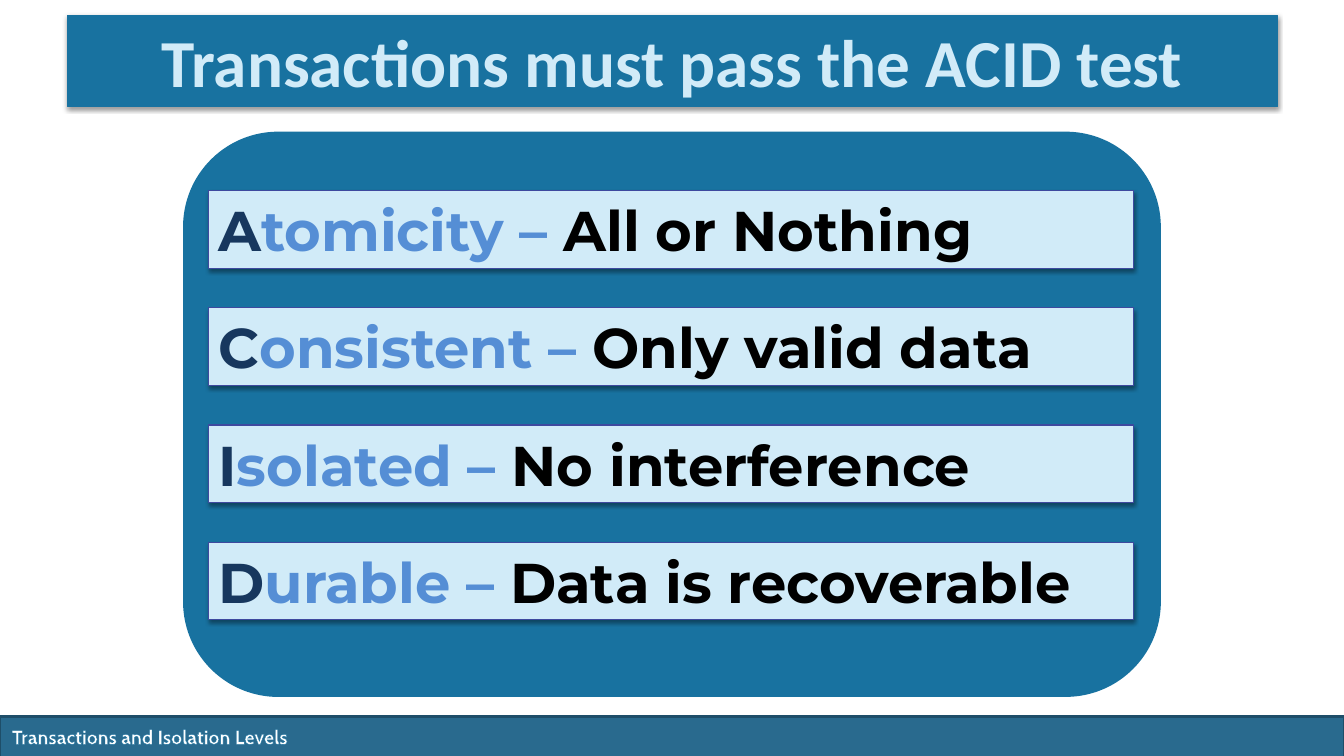
from lxml import etree
from pptx import Presentation
from pptx.dml.color import RGBColor
from pptx.enum.shapes import MSO_SHAPE
from pptx.enum.text import MSO_ANCHOR, MSO_AUTO_SIZE, PP_ALIGN
from pptx.oxml import parse_xml
from pptx.oxml.ns import nsdecls, qn
from pptx.util import Inches, Pt

RECTANGLE = MSO_SHAPE.RECTANGLE
ROUNDED = MSO_SHAPE.ROUNDED_RECTANGLE
MIDDLE = MSO_ANCHOR.MIDDLE
GROW = MSO_AUTO_SIZE.SHAPE_TO_FIT_TEXT
LEFT = PP_ALIGN.LEFT
CENTER = PP_ALIGN.CENTER

BLUE = "1872A0"
PALE = "D1EBF8"
ACID = [
    ("A", "tomicity – ", "All or Nothing"),
    ("C", "onsistent – ", "Only valid data"),
    ("I", "solated – ", "No interference"),
    ("D", "urable – ", "Data is recoverable"),
]


def rgb(value):
    return RGBColor.from_string(value)


def paint(shape, fill, line, width):
    shape.shadow.inherit = False
    shape.fill.solid()
    shape.fill.fore_color.rgb = rgb(fill)
    shape.line.color.rgb = rgb(line)
    shape.line.width = Pt(width)


def cast_shadow(shape):
    effects = shape.element.spPr.find(qn("a:effectLst"))
    effects.append(parse_xml(
        f'<a:outerShdw {nsdecls("a")} blurRad="{Pt(3.1)}" dist="{Pt(1.6)}" '
        'dir="5400000" rotWithShape="0"><a:srgbClr val="000000">'
        '<a:alpha val="38000"/></a:srgbClr></a:outerShdw>'))


def outline_text(run, color, width):
    line = parse_xml(f'<a:ln {nsdecls("a")} w="{Pt(width)}"/>')
    fill = etree.SubElement(line, qn("a:solidFill"))
    etree.SubElement(fill, qn("a:srgbClr"), val=color)
    run.font._element.insert(0, line)


def write(frame, text, *, size, font, color, align=LEFT):
    paragraph = frame.paragraphs[0]
    paragraph.alignment = align
    run = paragraph.add_run()
    run.text = text
    run.font.size = Pt(size)
    run.font.name = font
    run.font.bold = True
    run.font.color.rgb = rgb(color)
    return run


def add_panel(slide, kind, box, fill, line, width):
    panel = slide.shapes.add_shape(kind, *map(Inches, box))
    paint(panel, fill, line, width)
    return panel


def add_footer(slide, box):
    left, top, width, height = box
    add_panel(slide, RECTANGLE, box, "296A8E", "1E4E69", 2)
    label = slide.shapes.add_textbox(
        Inches(left + 0.02), Inches(top + 0.03), Inches(6.06), Inches(0.34))
    label.text_frame.word_wrap = True
    course = write(label.text_frame, "Transactions and Isolation Levels",
                   size=14, font="Cabin", color="FFFFFF")
    outline_text(course, BLUE, 0.8)


def add_title(slide, box):
    title = slide.shapes.title
    title.left, title.top, title.width, title.height = map(Inches, box)
    paint(title, BLUE, BLUE, 0.75)
    cast_shadow(title)
    title.text_frame.vertical_anchor = MIDDLE
    title.text_frame.word_wrap = True
    write(title.text_frame, "Transactions must pass the ACID test",
          size=48, font="Calibri", color=PALE, align=CENTER)


def add_property(slide, box, initial, rest, meaning):
    row = add_panel(slide, RECTANGLE, box, PALE, "3E499F", 0.75)
    cast_shadow(row)
    frame = row.text_frame
    frame.word_wrap = True
    frame.vertical_anchor = MIDDLE
    frame.auto_size = GROW
    for text, color in ((initial, "17375E"), (rest, "558ED5"), (meaning, "000000")):
        write(frame, text, size=40, font="Montserrat", color=color)


def add_acid_panel(slide, box):
    left, top, width, height = box
    add_panel(slide, ROUNDED, box, BLUE, BLUE, 2)
    row_height = 0.77
    first_top = top + 0.57
    pitch = (height - 0.57 - 0.75 - row_height) / (len(ACID) - 1)
    for index, words in enumerate(ACID):
        row_box = (left + 0.24, first_top + index * pitch, width - 0.5, row_height)
        add_property(slide, row_box, *words)


def main():
    deck = Presentation()
    deck.slide_width = Inches(13.33)
    deck.slide_height = Inches(7.5)
    slide = deck.slides.add_slide(deck.slide_layouts[5])
    add_footer(slide, (0, 7.11, 13.33, 0.4))
    add_acid_panel(slide, (1.83, 1.32, 9.67, 5.58))
    add_title(slide, (0.67, 0.15, 12, 0.91))
    deck.save("out.pptx")


if __name__ == "__main__":
    main()
